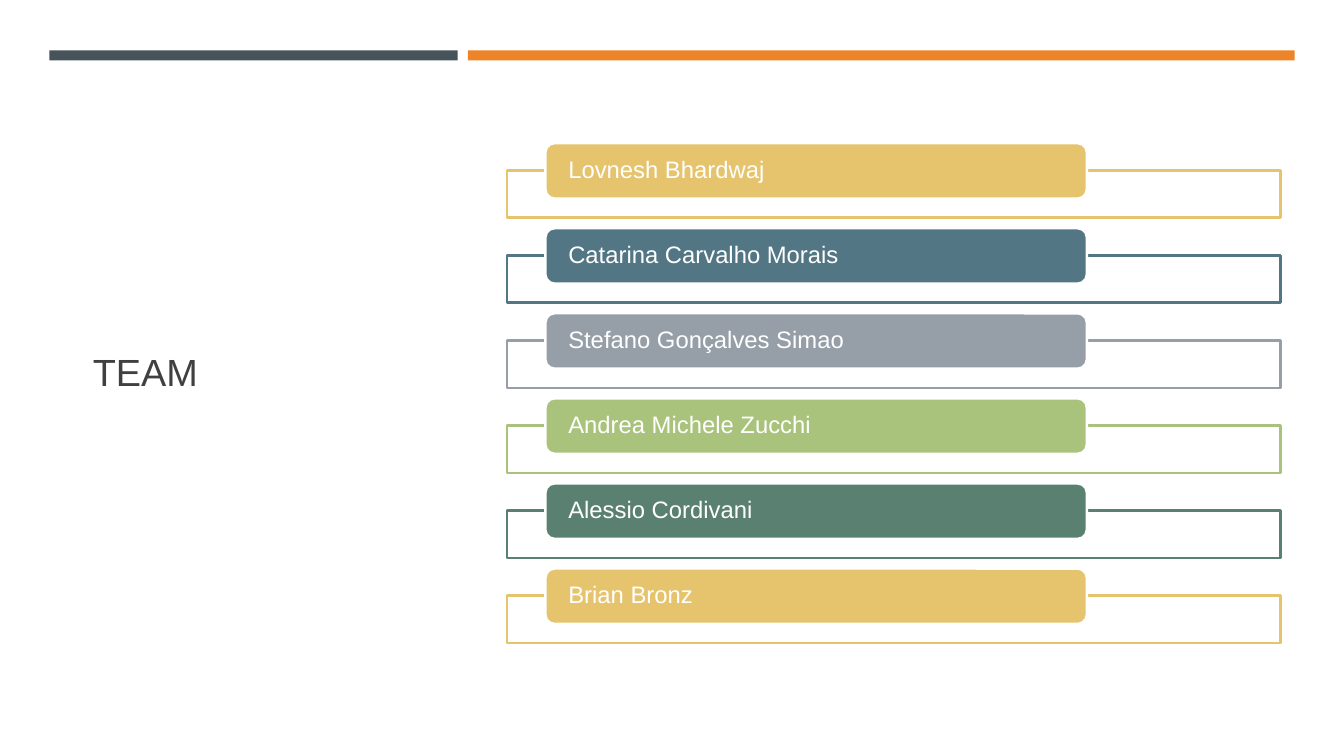
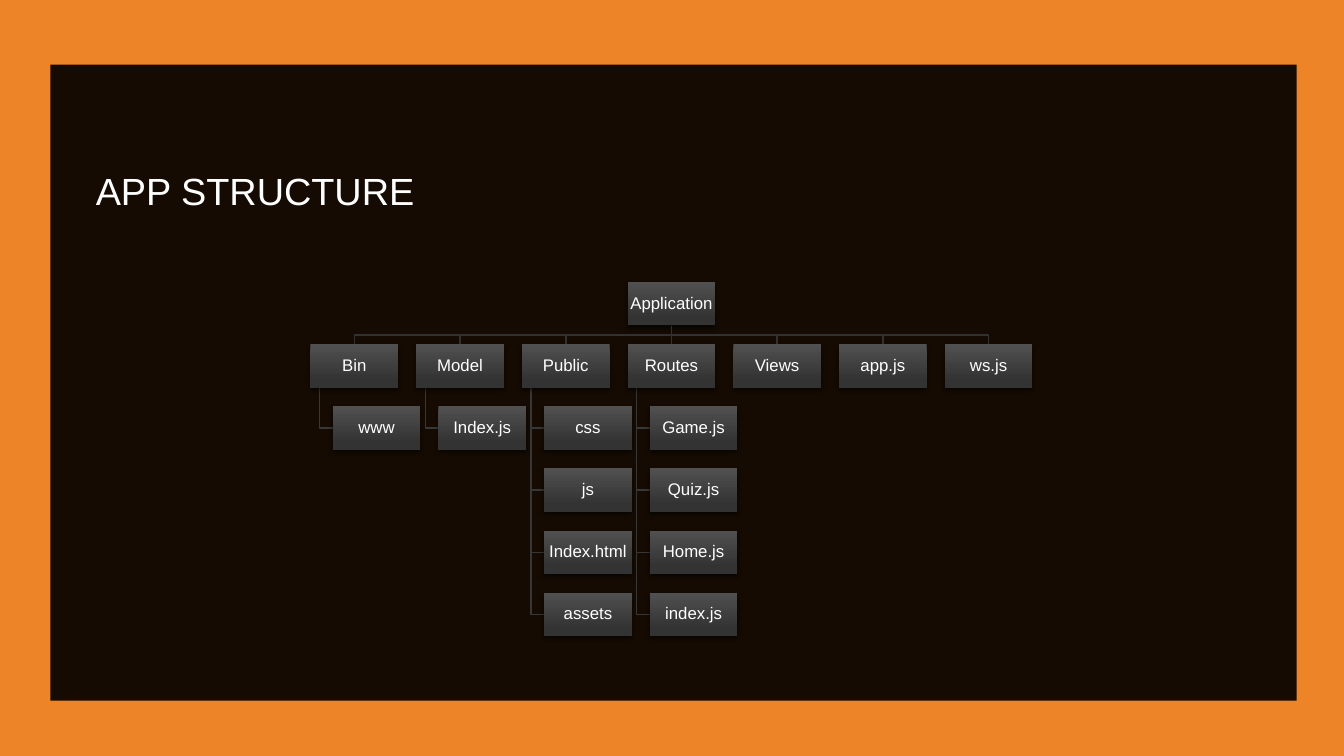
"""Build a team slide and an application structure slide."""
from lxml import etree
from pptx import Presentation
from pptx.dml.color import RGBColor
from pptx.enum.shapes import MSO_CONNECTOR, MSO_SHAPE
from pptx.enum.text import MSO_ANCHOR, MSO_AUTO_SIZE, PP_ALIGN
from pptx.oxml.ns import qn
from pptx.util import Inches, Pt

RECT = MSO_SHAPE.RECTANGLE
ROUNDED = MSO_SHAPE.ROUNDED_RECTANGLE
STRAIGHT = MSO_CONNECTOR.STRAIGHT
MIDDLE = MSO_ANCHOR.MIDDLE
NO_AUTOFIT = MSO_AUTO_SIZE.NONE
LEFT, CENTER = PP_ALIGN.LEFT, PP_ALIGN.CENTER
TOP_SIDE, BOTTOM_SIDE = 0, 2

FONT = "Arial"
WHITE, BLACK, ORANGE, SLATE, INK = "FFFFFF", "000000", "ED8428", "465359", "404040"
GOLD, BLUE, GREY, LIME, GREEN = "E6C46D", "537685", "969FA7", "A9C37C", "5A8071"
NODE_TOP, NODE_BOTTOM = "505050", "333333"
BRANCH, TWIG = "313131", "373737"

rgb = RGBColor.from_string


def add_box(slide, preset, box, fill, line=None, opacity=100):
    """Add a flat filled shape with an optional outline."""
    shape = slide.shapes.add_shape(preset, *map(Inches, box))
    shape.shadow.inherit = False
    shape.fill.solid()
    shape.fill.fore_color.rgb = rgb(fill)
    if opacity < 100:
        colour = shape.element.spPr.find(qn("a:solidFill"))[0]
        etree.SubElement(colour, qn("a:alpha"), val=str(opacity * 1000))
    if line:
        shape.line.color.rgb = rgb(line)
        shape.line.width = Pt(1.75)
    else:
        shape.line.fill.background()
    return shape


def write(shape, text, size, colour, align, inset, inset_y):
    """Put one vertically centred line of text into a shape."""
    frame = shape.text_frame
    frame.word_wrap = True
    frame.auto_size = NO_AUTOFIT
    frame.vertical_anchor = MIDDLE
    frame.margin_left = frame.margin_right = Inches(inset)
    frame.margin_top = frame.margin_bottom = Inches(inset_y)
    paragraph = frame.paragraphs[0]
    paragraph.alignment = align
    paragraph.line_spacing = 0.9
    run = paragraph.add_run()
    run.text = text
    run.font.name = FONT
    run.font.size = Pt(size)
    run.font.color.rgb = rgb(colour)


prs = Presentation()
prs.slide_width, prs.slide_height = Inches(13.33), Inches(7.5)
title_only = prs.slide_layouts[5]

pages = [
    ("TEAM", (0.82, 1.14, 3.34, 5.15), INK, WHITE,
     [((0.49, 0.5, 4.05, 0.1), SLATE, 100), ((4.64, 0.5, 8.2, 0.1), ORANGE, 100)]),
    ("APP STRUCTURE", (0.85, 1.24, 11.61, 1.36), WHITE, ORANGE,
     [((0.5, 0.64, 12.36, 6.31), BLACK, 91)]),
]
for heading, heading_box, heading_colour, backdrop, panels in pages:
    slide = prs.slides.add_slide(title_only)
    slide.background.fill.solid()
    slide.background.fill.fore_color.rgb = rgb(backdrop)
    for panel_box, panel_fill, opacity in panels:
        add_box(slide, RECT, panel_box, panel_fill, opacity=opacity)
    title = slide.shapes.title
    title.left, title.top, title.width, title.height = map(Inches, heading_box)
    write(title, heading, 27, heading_colour, LEFT, 0.1, 0.05)
    title.element.getparent().append(title.element)

team_slide, structure_slide = prs.slides

members = [
    ("Lovnesh Bhardwaj", GOLD),
    ("Catarina Carvalho Morais", BLUE),
    ("Stefano Gonçalves Simao", GREY),
    ("Andrea Michele Zucchi", LIME),
    ("Alessio Cordivani", GREEN),
    ("Brian Bronz", GOLD),
]
member_pitch = (5.91 - 1.69) / 5
for index, (member, colour) in enumerate(members):
    top = 1.69 + index * member_pitch
    add_box(team_slide, RECT, (5.03, top, 7.67, 0.47), WHITE, colour, 90)
    name_bar = add_box(team_slide, ROUNDED, (5.41, top - 0.27, 5.37, 0.55), colour, WHITE)
    write(name_bar, member, 17, WHITE, LEFT, 0.2, 0)

folders = [
    ("Bin", ["www"]),
    ("Model", ["Index.js"]),
    ("Public", ["css", "js", "Index.html", "assets"]),
    ("Routes", ["Game.js", "Quiz.js", "Home.js", "index.js"]),
    ("Views", []),
    ("app.js", []),
    ("ws.js", []),
]
node_width, node_height = 0.87, 0.43
first_left, root_top = 3.08, 2.8
file_indent, spine_indent = 0.22, 0.09
middle_column = len(folders) // 2
column_pitch = (9.37 - first_left) / 6
row_pitch = (5.88 - root_top) / 5
folder_top = root_top + row_pitch
folder_bottom = folder_top + node_height
root_left = first_left + middle_column * column_pitch
root_x = root_left + node_width / 2
root_bottom = root_top + node_height
bus_y = (root_bottom + folder_top) / 2

entries = [("Application", root_left, root_top)]
elbows = []
for column, (folder, files) in enumerate(folders):
    left = first_left + column * column_pitch
    center = left + node_width / 2
    entries.append((folder, left, folder_top))
    if column != middle_column:
        elbows.append((BRANCH, [(root_x, root_bottom), (root_x, bus_y),
                                (center, bus_y), (center, folder_top)]))
    for row, file in enumerate(files, 1):
        file_left, file_top = left + file_indent, folder_top + row * row_pitch
        file_y, spine_x = file_top + node_height / 2, left + spine_indent
        entries.append((file, file_left, file_top))
        elbows.append((TWIG, [(spine_x, folder_bottom), (spine_x, file_y),
                              (file_left, file_y)]))

for colour, points in elbows:
    start, *bends = [(Inches(x), Inches(y)) for x, y in points]
    builder = structure_slide.shapes.build_freeform(*start)
    builder.add_line_segments(bends, close=False)
    elbow = builder.convert_to_shape()
    elbow.shadow.inherit = False
    elbow.fill.background()
    elbow.line.color.rgb = rgb(colour)
    elbow.line.width = Pt(1)

nodes = {}
for label, left, top in entries:
    node = add_box(structure_slide, RECT, (left, top, node_width, node_height), NODE_BOTTOM)
    node.fill.gradient()
    node.fill.gradient_angle = 270
    upper, lower = node.fill.gradient_stops
    upper.color.rgb, upper.position = rgb(NODE_TOP), 0
    lower.color.rgb, lower.position = rgb(NODE_BOTTOM), 0.84
    shadow = etree.SubElement(
        node.element.spPr.find(qn("a:effectLst")), qn("a:outerShdw"),
        blurRad=str(Pt(3)), dist=str(Pt(2)), dir="5400000", rotWithShape="0")
    shade = etree.SubElement(shadow, qn("a:srgbClr"), val=BLACK)
    etree.SubElement(shade, qn("a:alpha"), val="55000")
    write(node, label, 12, WHITE, CENTER, 0.01, 0.01)
    nodes[label] = node

trunk = structure_slide.shapes.add_connector(
    STRAIGHT, *map(Inches, (root_x, root_bottom, root_x, folder_top)))
trunk.line.color.rgb = rgb(BRANCH)
trunk.line.width = Pt(1)
etree.SubElement(trunk.element.spPr, qn("a:effectLst"))
trunk.begin_connect(nodes["Application"], BOTTOM_SIDE)
trunk.end_connect(nodes["Routes"], TOP_SIDE)

prs.save("out.pptx")
